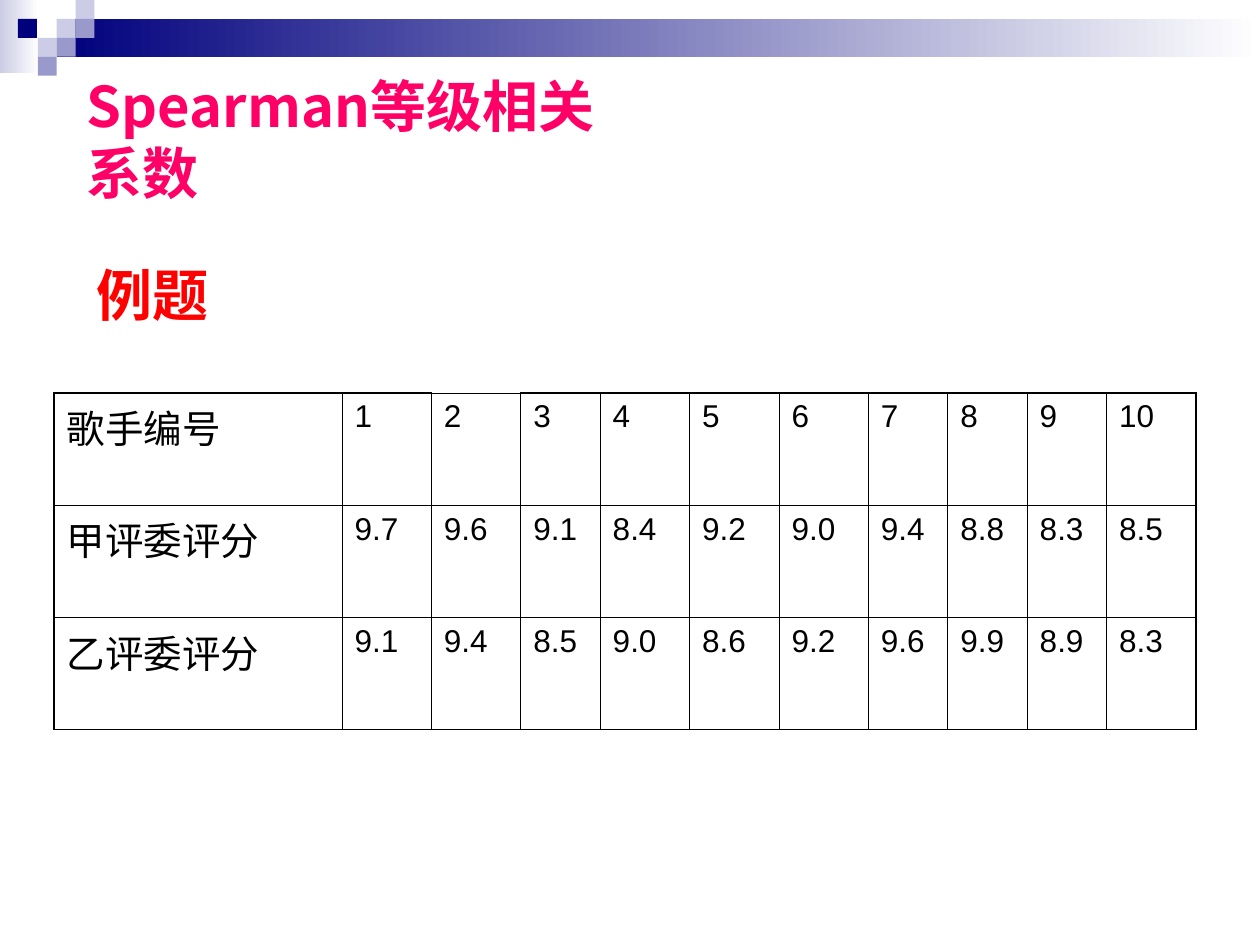
from dataclasses import dataclass

from lxml import etree
from pptx import Presentation
from pptx.dml.color import RGBColor
from pptx.enum.shapes import MSO_SHAPE
from pptx.enum.text import MSO_ANCHOR, PP_ALIGN
from pptx.oxml.ns import qn
from pptx.util import Pt


@dataclass(frozen=True)
class Theme:
    navy: str = "00007D"
    violet: str = "9999CC"
    lilac: str = "CCCCE6"
    white: str = "FFFFFF"
    black: str = "000000"
    pink: str = "FF0066"
    red: str = "FF0000"
    heading_size: float = 32
    label_size: float = 22
    score_size: float = 18
    thin: float = 0.45
    thick: float = 1.08
    sans: str = "Arial"
    serif: str = "Times New Roman"
    chinese: str = "Noto Sans CJK SC"


THEME = Theme()

SCORES = [
    ("歌手编号", "1", "2", "3", "4", "5", "6", "7", "8", "9", "10"),
    ("甲评委评分", "9.7", "9.6", "9.1", "8.4", "9.2", "9.0", "9.4", "8.8", "8.3", "8.5"),
    ("乙评委评分", "9.1", "9.4", "8.5", "9.0", "8.6", "9.2", "9.6", "9.9", "8.9", "8.3"),
]
LABEL_WIDTH, WIDE, NARROW = 164.4, 51.1, 45.4
NARROW_COLUMNS = (3, 7, 8, 9)


def write(frame, text, *, size, color, font, bold=False, before=0, wrap=True):
    """Put one left-aligned paragraph at the top of a text frame."""
    frame.word_wrap = wrap
    frame.vertical_anchor = MSO_ANCHOR.TOP
    para = frame.paragraphs[0]
    para.alignment = PP_ALIGN.LEFT
    para.space_before = Pt(before)
    span = para.add_run()
    span.text = text
    span.font.size = Pt(size)
    span.font.bold = bold
    span.font.name = font
    span.font.color.rgb = RGBColor.from_string(color)
    east_asian = etree.SubElement(span.font._element, qn("a:ea"))
    east_asian.set("typeface", THEME.chinese)


def add_block(page, box, color, fade_to=None):
    """Draw a borderless rectangle, plain or fading to the right."""
    block = page.shapes.add_shape(MSO_SHAPE.RECTANGLE, *map(Pt, box))
    block.shadow.inherit = False
    block.line.fill.background()
    if fade_to is None:
        block.fill.solid()
        block.fill.fore_color.rgb = RGBColor.from_string(color)
        return
    block.fill.gradient()
    block.fill.gradient_angle = 0
    for stop, shade in zip(block.fill.gradient_stops, (color, fade_to)):
        stop.color.rgb = RGBColor.from_string(shade)


def add_banner(page, box):
    """Fading bars with a staircase of small squares at the left."""
    left, top, width, height = box
    side = height / 4
    add_block(page, (left, top, 22.3, 41.8), THEME.lilac, THEME.white)
    add_block(page, (left + 3 * side, top + side, width - 3 * side, 2 * side),
              THEME.navy, THEME.white)
    squares = [(3, 1, THEME.lilac), (4, 0, THEME.lilac), (4, 1, THEME.violet),
               (2, 2, THEME.lilac), (0.95, 1, THEME.navy),
               (3, 2, THEME.violet), (2, 3, THEME.violet)]
    for column, row, color in squares:
        add_block(page, (left + column * side, top + row * side, side, side), color)


def add_title(page, box, text):
    title = page.shapes.title
    title.left, title.top, title.width, title.height = map(Pt, box)
    write(title.text_frame, text, size=THEME.heading_size, color=THEME.pink,
          font=THEME.chinese, bold=True)


def add_subheading(page, box, text):
    label = page.shapes.add_textbox(*map(Pt, box))
    write(label.text_frame, text, size=THEME.heading_size, color=THEME.red,
          font=THEME.serif, bold=True, wrap=False)


def set_borders(cell, **widths):
    """Rule the sides of a cell: L, R, T and B give widths in points."""
    properties = cell._tc.get_or_add_tcPr()
    for index, (side, width) in enumerate(widths.items()):
        line = etree.Element(qn(f"a:ln{side}"), w=str(int(Pt(width))))
        fill = etree.SubElement(line, qn("a:solidFill"))
        etree.SubElement(fill, qn("a:srgbClr"), val=THEME.black)
        properties.insert(index, line)


def add_scores(page, box, rows):
    row_count, column_count = len(rows), len(rows[0])
    table = page.shapes.add_table(row_count, column_count, *map(Pt, box)).table
    table.first_row = table.horz_banding = False
    for index, column in enumerate(table.columns):
        width = NARROW if index in NARROW_COLUMNS else WIDE
        column.width = Pt(width if index else LABEL_WIDTH)

    def rule(on_edge):
        return THEME.thick if on_edge else THEME.thin

    for r, row in enumerate(rows):
        table.rows[r].height = Pt(box[3] / row_count)
        for c, text in enumerate(row):
            cell = table.cell(r, c)
            cell.fill.background()
            size = THEME.score_size if c else THEME.label_size
            write(cell.text_frame, text, size=size, color=THEME.black,
                  font=THEME.sans, before=size / 4)
            # The top rule is thin above singer 2
            set_borders(cell, L=rule(c == 0), R=rule(c == column_count - 1),
                        T=rule(r == 0 and c != 2), B=rule(r == row_count - 1))


def main():
    deck = Presentation()
    deck.slide_width, deck.slide_height = Pt(720), Pt(540)
    page = deck.slides.add_slide(deck.slide_layouts[5])
    add_banner(page, (0, 0, 720, 43.2))
    add_title(page, (42.5, 37.4, 336.2, 84.2), "Spearman等级相关系数")
    add_scores(page, (31, 224.6, 652.3, 192.2), SCORES)
    add_subheading(page, (48.2, 145.4, 78.5, 46.1), "例题")
    deck.save("out.pptx")


if __name__ == "__main__":
    main()
